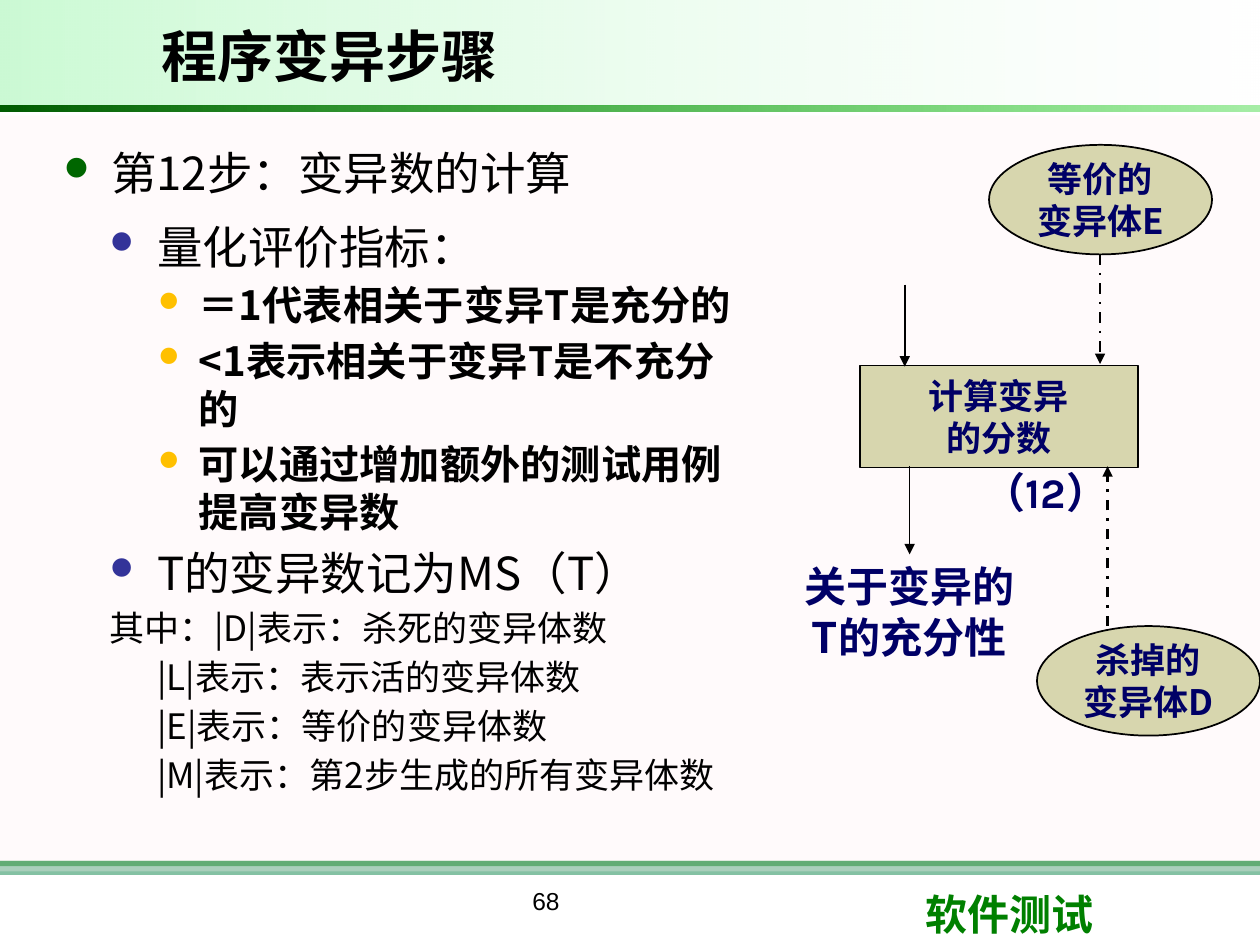
"""Build the slide on the mutation score step of program mutation testing."""
from lxml import etree
from pptx import Presentation
from pptx.dml.color import RGBColor
from pptx.enum import dml, shapes, text
from pptx.oxml import ns
from pptx.util import Pt

SHAPE = shapes.MSO_SHAPE
CENTER = text.PP_ALIGN.CENTER
MIDDLE = text.MSO_ANCHOR.MIDDLE
BLACK, NAVY, GREEN, KHAKI = "000000", "000066", "008000", "D7D6AE"
BODY_FONT, NODE_FONT = "Noto Sans CJK SC", "Noto Sans CJK JP"

BANDS = [
    ((0, 492, 720, 3), GREEN, 100),
    ((0, 492, 720, 8), "339966", 60),
    ((0, 66, 720, 432), "FFF0F5", 30),
]
GRADIENTS = [
    ((0, 0, 720, 60), [("FFFFFF", 10), ("09E733", 21)]),
    ((0, 60, 720, 3.6), [("00CC00", 35), ("005C00", 100)]),
]

STYLES = {
    "step": dict(left=28.4, indent=-27, size=26, after=6, bullet="006600", scale=75),
    "item": dict(left=54.7, indent=-27, size=26, before=5, bullet="333399", scale=70),
    "point": dict(left=78.4, indent=-23, size=23, before=4, bullet="FFC000", scale=70, bold=True),
    "where": dict(left=54.7, indent=-27.4, size=20, before=4),
    "term": dict(left=54.7, indent=0, size=20, before=4),
}
OUTLINE = [
    ("step", "第12步：变异数的计算"),
    ("item", "量化评价指标："),
    ("point", "＝1代表相关于变异T是充分的"),
    ("point", "<1表示相关于变异T是不充分的"),
    ("point", "可以通过增加额外的测试用例提高变异数"),
    ("item", "T的变异数记为MS（T）"),
    ("where", "其中：|D|表示：杀死的变异体数"),
    ("term", "|L|表示：表示活的变异体数"),
    ("term", "|E|表示：等价的变异体数"),
    ("term", "|M|表示：第2步生成的所有变异体数"),
]

NODES = [
    (SHAPE.FLOWCHART_PROCESS, (491.3, 208.8, 159, 58.3), ["计算变异", "的分数"]),
    (SHAPE.OVAL, (592.6, 357.8, 127.4, 62.6), ["杀掉的", "变异体D"]),
    (SHAPE.OVAL, (565.2, 82.8, 127.4, 62.6), ["等价的", "变异体E"]),
]
ARROWS = [
    (628.6, 145.4, 208, True),
    (632.9, 357.8, 266.4, True),
    (517, 162.7, 209.5, False),
    (519.8, 266.4, 316.8, False),
]
LABELS = [
    ((522, 504, 171, 36), "软件测试", dict(size=24, name="Calibri", color=GREEN, bold=True)),
    ((198, 502.6, 228, 37.4), "68", dict(size=14, name="Arial", align=CENTER)),
    ((555, 262.8, 98, 36), "（12）", dict(size=24, name="Karla", color=NAVY, bold=True)),
    ((450.7, 316.8, 137.5, 65.5), "关于变异的T的充分性",
     dict(size=24, name=NODE_FONT, color=NAVY, bold=True, align=CENTER)),
]


def rgb(value):
    return RGBColor.from_string(value)


def add_child(parent, tag, **attributes):
    return etree.SubElement(parent, ns.qn(tag), attributes)


def set_opacity(shape, values):
    colors = shape._element.spPr.iter(ns.qn("a:srgbClr"))
    for color, value in zip(colors, values):
        if value < 100:
            add_child(color, "a:alpha", val=str(value * 1000))


def write(para, words, size, name, color=BLACK, bold=False, align=None):
    para.text = words
    if align is not None:
        para.alignment = align
    font = para.font
    font.size, font.name, font.bold = Pt(size), name, bold
    font.color.rgb = rgb(color)
    add_child(font._element, "a:ea", typeface=name)


def add_shape(page, kind, place):
    shape = page.shapes.add_shape(kind, *map(Pt, place))
    shape.shadow.inherit = False
    return shape


def add_box(page, place):
    frame = page.shapes.add_textbox(*map(Pt, place)).text_frame
    frame.word_wrap = True
    return frame


def add_background(page):
    for place, color, opacity in BANDS:
        band = add_shape(page, SHAPE.RECTANGLE, place)
        band.fill.solid()
        band.fill.fore_color.rgb = rgb(color)
        band.line.fill.background()
        set_opacity(band, [opacity])
    for place, stops in GRADIENTS:
        band = add_shape(page, SHAPE.RECTANGLE, place)
        band.rotation = 180
        band.fill.gradient()
        band.fill.gradient_angle = 0
        for stop, (color, _) in zip(band.fill.gradient_stops, stops):
            stop.color.rgb = rgb(color)
        band.line.fill.background()
        set_opacity(band, [opacity for _, opacity in stops])


def add_outline(page):
    frame = add_box(page, (28, 79.5, 410, 402))
    for index, (level, words) in enumerate(OUTLINE):
        style = STYLES[level]
        para = frame.add_paragraph() if index else frame.paragraphs[0]
        props = para._p.get_or_add_pPr()
        props.set("marL", str(Pt(style["left"])))
        props.set("indent", str(Pt(style["indent"])))
        if "bullet" in style:
            add_child(add_child(props, "a:buClr"), "a:srgbClr", val=style["bullet"])
            add_child(props, "a:buSzPct", val=str(style["scale"] * 1000))
            add_child(props, "a:buFont", typeface="Wingdings", charset="2")
            add_child(props, "a:buChar", char="l")
        para.space_before = Pt(style.get("before", 0))
        para.space_after = Pt(style.get("after", 0))
        write(para, words, style["size"], BODY_FONT, bold=style.get("bold", False))


def add_node(page, kind, place, lines):
    node = add_shape(page, kind, place)
    node.fill.solid()
    node.fill.fore_color.rgb = rgb(KHAKI)
    node.line.color.rgb = rgb(BLACK)
    node.line.width = Pt(1)
    frame = node.text_frame
    frame.word_wrap = False
    frame.vertical_anchor = MIDDLE
    for index, words in enumerate(lines):
        para = frame.add_paragraph() if index else frame.paragraphs[0]
        write(para, words, 20, NODE_FONT, NAVY, True, CENTER)


def add_arrow(page, x, start, end, dashed):
    arrow = page.shapes.add_connector(
        shapes.MSO_CONNECTOR.STRAIGHT, Pt(x), Pt(start), Pt(x), Pt(end))
    arrow.line.color.rgb = rgb(BLACK)
    arrow.line.width = Pt(1.5 if dashed else 1)
    if dashed:
        arrow.line.dash_style = dml.MSO_LINE.DASH_DOT
    add_child(arrow.line._get_or_add_ln(), "a:tailEnd", type="triangle")
    add_child(arrow._element.spPr, "a:effectLst")


def main():
    deck = Presentation()
    deck.slide_width, deck.slide_height = Pt(720), Pt(540)
    page = deck.slides.add_slide(deck.slide_layouts[6])
    add_background(page)
    title = add_box(page, (85, 5.8, 502, 51))
    title.vertical_anchor = MIDDLE
    write(title.paragraphs[0], "程序变异步骤", 32, "Arial", bold=True)
    add_outline(page)
    for node in NODES:
        add_node(page, *node)
    for arrow in ARROWS:
        add_arrow(page, *arrow)
    for place, words, style in LABELS:
        write(add_box(page, place).paragraphs[0], words, **style)
    deck.save("out.pptx")


if __name__ == "__main__":
    main()
